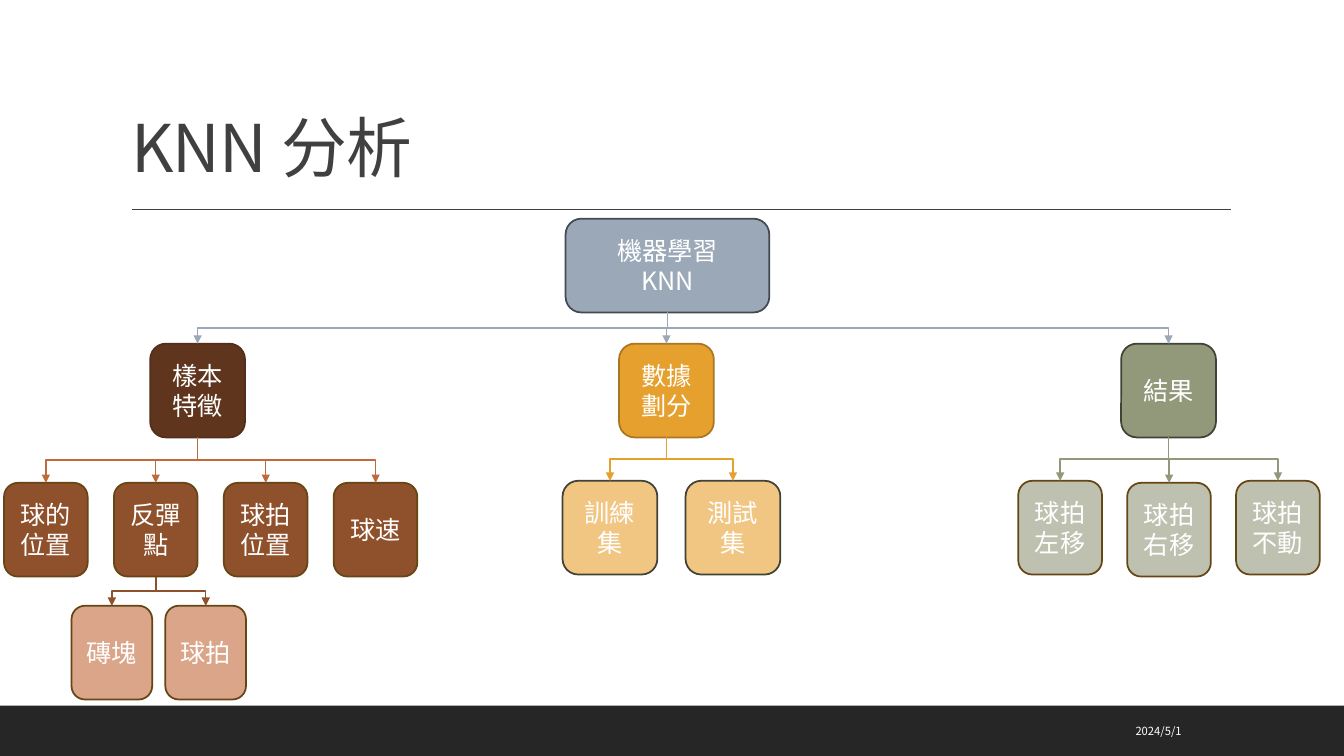
from dataclasses import dataclass, field

from pptx import Presentation
from pptx.dml.color import RGBColor
from pptx.enum import shapes, text
from pptx.oxml.ns import qn
from pptx.util import Inches, Pt
from lxml import etree

COLORS = {
    "white": "FFFFFF", "ink": "404040", "footer": "262626",
    "root": "9BA8B7", "root_edge": "444A50",
    "sample": "60351D", "sample_edge": "542E1A", "sample_link": "BF6A3B",
    "feature": "8F502C", "bounce": "DAA588", "brown_edge": "654614",
    "data": "E6A02E", "data_edge": "AA7622", "split": "F0C682",
    "result": "92987A", "olive_edge": "404335", "move": "BEC1AF",
}
FONT = "Noto Sans CJK SC"
DATE_FONT = "Noto Sans CJK TC"
NODE_HEIGHT = 0.93
BRANCH_TOP, LEAF_TOP, SUBLEAF_TOP = 3.41, 4.79, 6.01
RAISED_LEAF_TOP = 4.77


@dataclass
class Node:
    label: str
    left: float
    top: float
    width: float
    fill: str
    edge: str
    link: str = ""
    children: list = field(default_factory=list)


def rgb(name):
    return RGBColor.from_string(COLORS[name])


def format_text(frame, size, color, align, font=FONT):
    for paragraph in frame.paragraphs:
        paragraph.alignment = align
        for run in paragraph.runs:
            run.font.size = Pt(size)
            run.font.name = font
            run.font.color.rgb = rgb(color)
            east_asian = etree.SubElement(run.font._element, qn("a:ea"))
            east_asian.set("typeface", font)


def remove_shadow(connector):
    etree.SubElement(connector._element.spPr, qn("a:effectLst"))


def add_title(slide, wording):
    title = slide.shapes.title
    title.left, title.top = Inches(1.2), Inches(0.31)
    title.width, title.height = Inches(11), Inches(1.59)
    frame = title.text_frame
    frame.text = wording
    frame.word_wrap = True
    frame.auto_size = text.MSO_AUTO_SIZE.NONE
    frame.vertical_anchor = text.MSO_ANCHOR.BOTTOM
    frame.paragraphs[0].line_spacing = 0.9
    format_text(frame, 47, "ink", text.PP_ALIGN.LEFT)
    frame.paragraphs[0].runs[0].font._element.set("spc", "-50")


def add_title_rule(slide):
    rule = slide.shapes.add_connector(
        shapes.MSO_CONNECTOR.STRAIGHT,
        Inches(1.31), Inches(2.08), Inches(12.21), Inches(2.08))
    rule.line.color.rgb = rgb("ink")
    rule.line.width = Pt(1)
    remove_shadow(rule)


def add_footer(slide, date):
    band = slide.shapes.add_shape(
        shapes.MSO_SHAPE.RECTANGLE, 0, Inches(7), Inches(13.33), Inches(0.5))
    band.shadow.inherit = False
    band.fill.solid()
    band.fill.fore_color.rgb = rgb("footer")
    band.line.fill.background()

    date_box = slide.shapes.add_textbox(
        Inches(8.99), Inches(7.05), Inches(2.83), Inches(0.4))
    frame = date_box.text_frame
    frame.word_wrap = True
    frame.text = date
    frame.vertical_anchor = text.MSO_ANCHOR.MIDDLE
    format_text(frame, 8, "white", text.PP_ALIGN.RIGHT, DATE_FONT)


def add_node(slide, node):
    box = slide.shapes.add_shape(
        shapes.MSO_SHAPE.ROUNDED_RECTANGLE, Inches(node.left),
        Inches(node.top), Inches(node.width), Inches(NODE_HEIGHT))
    box.shadow.inherit = False
    box.fill.solid()
    box.fill.fore_color.rgb = rgb(node.fill)
    box.line.color.rgb = rgb(node.edge)
    box.line.width = Pt(1.25)
    frame = box.text_frame
    frame.word_wrap = True
    frame.text = node.label
    frame.vertical_anchor = text.MSO_ANCHOR.MIDDLE
    format_text(frame, 18, "white", text.PP_ALIGN.CENTER)
    return box


def add_link(slide, parent, child, color):
    """Join parent bottom to child top with an elbow that leaves downwards."""
    start_x, start_y = parent.left + parent.width // 2, parent.top + parent.height
    end_x, end_y = child.left + child.width // 2, child.top
    link = slide.shapes.add_connector(
        shapes.MSO_CONNECTOR.ELBOW, start_x, start_y, end_x, end_y)
    link.begin_connect(parent, 2)
    link.end_connect(child, 0)

    # The elbow runs sideways by default, so its box is turned a quarter.
    drop, reach = end_y - start_y, abs(end_x - start_x)
    link.width, link.height = drop, reach
    link.left = (start_x + end_x - drop) // 2
    link.top = (start_y + end_y - reach) // 2
    xfrm = link._element.spPr.find(qn("a:xfrm"))
    to_right = end_x > start_x
    xfrm.set("rot", str((270 if to_right else 90) * 60000))
    xfrm.set("flipH", "1" if to_right else "0")
    xfrm.set("flipV", "0")

    link.line.color.rgb = rgb(color)
    link.line.width = Pt(1)
    etree.SubElement(link.line._get_or_add_ln(), qn("a:tailEnd")).set("type", "triangle")
    remove_shadow(link)


def add_tree(slide, node):
    box = add_node(slide, node)
    for child in node.children:
        add_link(slide, box, add_tree(slide, child), node.link)
    return box


def leaf_row(labels, left, step, top, width, fill, edge):
    return [Node(label, left + i * step, top, width, fill, edge)
            for i, label in enumerate(labels)]


def knn_tree():
    features = leaf_row(["球的位置", "反彈點", "球拍\n位置", "球速"],
                        0.04, 1.09, LEAF_TOP, 0.83, "feature", "brown_edge")
    bounce_point = features[1]
    bounce_point.link = "feature"
    bounce_point.children = leaf_row(["磚塊", "球拍"], 0.71, 0.93, SUBLEAF_TOP,
                                     0.8, "bounce", "brown_edge")
    splits = leaf_row(["訓練集", "測試集"], 5.58, 1.22, RAISED_LEAF_TOP,
                      0.94, "split", "olive_edge")
    moves = leaf_row(["球拍\n左移", "球拍\n右移", "球拍\n不動"], 10.1, 1.08,
                     RAISED_LEAF_TOP, 0.83, "move", "brown_edge")
    moves[1].top = LEAF_TOP

    branches = [
        Node("樣本\n特徵", 1.49, BRANCH_TOP, 0.94, "sample", "sample_edge",
             "sample_link", features),
        Node("數據\n劃分", 6.14, BRANCH_TOP, 0.94, "data", "data_edge",
             "data", splits),
        Node("結果", 11.12, BRANCH_TOP, 0.94, "result", "olive_edge",
             "result", moves),
    ]
    return Node("機器學習\nKNN", 5.61, 2.17, 2.02, "root", "root_edge",
                "root", branches)


def main():
    deck = Presentation()
    deck.slide_width, deck.slide_height = Inches(13.33), Inches(7.5)
    slide = deck.slides.add_slide(deck.slide_layouts[5])
    add_footer(slide, "2024/5/1")
    add_title_rule(slide)
    add_title(slide, "KNN 分析")
    add_tree(slide, knn_tree())
    deck.save("out.pptx")


if __name__ == "__main__":
    main()
